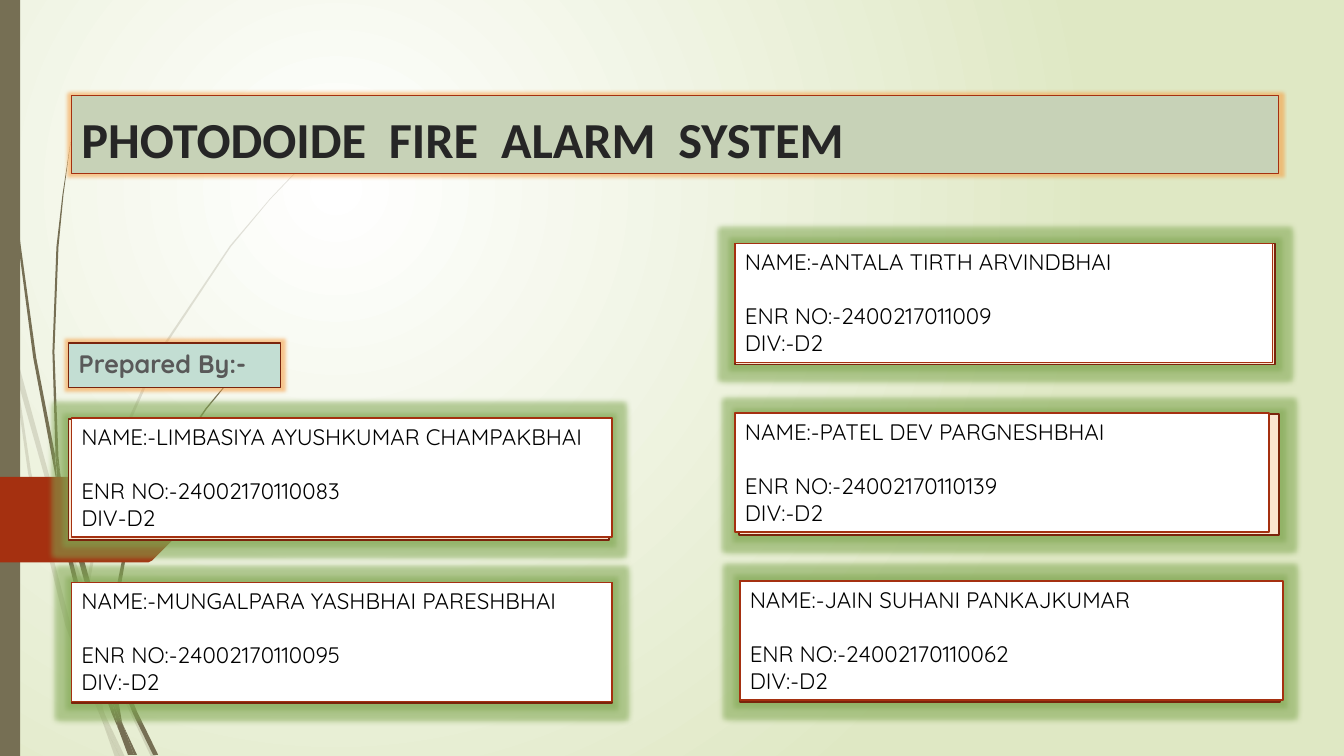
"""Build the title slide of the fire alarm project, with its team cards."""
from lxml import etree
from pptx import Presentation
from pptx.dml.color import RGBColor
from pptx.enum.shapes import MSO_SHAPE
from pptx.enum.text import MSO_ANCHOR, MSO_AUTO_SIZE, PP_ALIGN
from pptx.oxml.ns import qn
from pptx.util import Pt

RECTANGLE = MSO_SHAPE.RECTANGLE
TOP, BOTTOM = MSO_ANCHOR.TOP, MSO_ANCHOR.BOTTOM
LEFT = PP_ALIGN.LEFT
NO_AUTOFIT = MSO_AUTO_SIZE.NONE

WHITE = RGBColor(0xFF, 0xFF, 0xFF)
BLACK = RGBColor(0x00, 0x00, 0x00)
PALE_GREEN = RGBColor(0xDF, 0xE8, 0xC4)
OLIVE = RGBColor(0x76, 0x6F, 0x54)
RUST = RGBColor(0xA5, 0x30, 0x10)
DARK_RUST = RGBColor(0x7A, 0x24, 0x0C)
PEACH = RGBColor(0xFA, 0xE5, 0xCF)
SAGE = RGBColor(0xC7, 0xD2, 0xB7)
MINT = RGBColor(0xC3, 0xDE, 0xD3)
INK = RGBColor(0x26, 0x26, 0x26)
GREY = RGBColor(0x59, 0x59, 0x59)
ORANGE_GLOW = RGBColor(0xF7, 0x9B, 0x3C)
GREEN_GLOW = RGBColor(0x7F, 0xA6, 0x50)

GRID = Pt(0.72)
PALE_WISPS = [
    [(11, 350), (9, 322), (0, 282), (0, 299), (10, 344)],
    [(58, 522), (84, 599), (85, 586), (62, 520), (14, 345), (17, 376)],
    [(92, 607), (88, 596), (88, 610), (123, 694), (150, 751), (155, 751), (127, 692)],
    [(119, 751), (124, 751), (105, 711)],
    [(93, 683), (70, 619), (31, 469), (17, 376), (11, 350), (28, 470), (65, 621),
     (92, 693), (101, 714), (99, 707)],
    [(84, 599), (87, 646), (93, 683), (96, 692), (105, 711), (103, 706), (91, 646),
     (88, 610), (88, 608)],
    [(88, 584), (110, 462), (160, 349), (229, 245), (268, 198), (290, 175), (312, 154),
     (312, 153), (289, 175), (268, 197), (228, 244), (158, 348), (107, 461), (85, 584),
     (85, 586), (88, 596)],
    [(101, 714), (114, 751), (119, 751)],
    [(96, 692), (93, 683), (99, 707), (101, 714), (119, 751), (105, 711)],
]
DARK_WISPS = [
    [(7, 110), (17, 233), (33, 355), (56, 477), (57, 481), (55, 457), (55, 453),
     (36, 355), (19, 232), (8, 109), (5, 48), (4, 0), (3, 0), (4, 48)],
    [(88, 592), (106, 645), (106, 633), (106, 631), (93, 590), (60, 472), (64, 505)],
    [(113, 649), (110, 641), (111, 656), (132, 708), (152, 749), (157, 749), (136, 706)],
    [(110, 691), (98, 657), (72, 556), (64, 505), (57, 477), (68, 557), (93, 659),
     (111, 708), (117, 722), (116, 717)],
    [(60, 472), (58, 453), (54, 349), (58, 245), (63, 193), (70, 141), (62, 193),
     (56, 245), (52, 349), (55, 449)],
    [(133, 749), (136, 749), (122, 719)],
    [(57, 477), (64, 505), (60, 472), (55, 449), (55, 453)],
    [(111, 633), (125, 552), (158, 476), (205, 406), (231, 374), (245, 359), (261, 344),
     (260, 344), (245, 358), (231, 373), (204, 405), (156, 474), (122, 551), (106, 631),
     (110, 641)],
    [(117, 722), (127, 749), (131, 749)],
    [(106, 645), (110, 691), (116, 706), (122, 719), (121, 716), (111, 656), (109, 651)],
    [(116, 706), (110, 691), (116, 717), (117, 722), (130, 749), (133, 749), (122, 719)],
]
TAG = [(0, 473), (147, 473), (151, 474), (190, 513), (190, 517), (151, 556), (147, 558), (0, 558)]

BACK_WIDTH, BACK_HEIGHT, CARD_HEIGHT = 386, 86.4, 85
MEMBERS = [
    ("LIMBASIYA AYUSHKUMAR CHAMPAKBHAI", "24002170110083", "DIV-D2", (49, 299.5), (51, 298.8, 386)),
    ("MUNGALPARA YASHBHAI PARESHBHAI", "24002170110095", "DIV:-D2", (51, 416), (51, 416, 386)),
    ("ANTALA TIRTH ARVINDBHAI", "2400217011009", "DIV:-D2", (525, 174), (525, 174, 384)),
    ("PATEL DEV PARGNESHBHAI", "24002170110139", "DIV:-D2", (527.8, 296), (525, 295, 381.5)),
    ("JAIN SUHANI PANKAJKUMAR", "24002170110062", "DIV:-D2", (528.5, 415), (528.5, 415, 388)),
]


def draw_outline(points, colour, opacity=100):
    builder = slide.shapes.build_freeform(*points[0], scale=GRID)
    builder.add_line_segments(points[1:], close=True)
    outline = builder.convert_to_shape()
    outline.fill.solid()
    outline.fill.fore_color.rgb = colour
    outline.line.fill.background()
    outline.shadow.inherit = False
    if opacity < 100:
        tint = outline.element.spPr.find(qn("a:solidFill"))[0]
        etree.SubElement(tint, qn("a:alpha"), val=str(opacity * 1000))


def style_box(box, fill, border, weight, glow=None, radius=0):
    box.fill.solid()
    box.fill.fore_color.rgb = fill
    box.line.color.rgb = border
    box.line.width = Pt(weight)
    box.shadow.inherit = False
    if glow is not None:
        effects = box.element.spPr.find(qn("a:effectLst"))
        halo = etree.SubElement(effects, qn("a:glow"), rad=str(Pt(radius)))
        halo_colour = etree.SubElement(halo, qn("a:srgbClr"), val=str(glow))
        etree.SubElement(halo_colour, qn("a:alpha"), val="55000")


prs = Presentation()
prs.slide_width, prs.slide_height = Pt(960), Pt(540)
slide = prs.slides.add_slide(prs.slide_layouts[0])

backdrop = slide.background.fill
backdrop.gradient()
for stop, colour in zip(backdrop.gradient_stops, (WHITE, PALE_GREEN)):
    stop.color.rgb = colour
gradient = next(slide.element.iter(qn("a:gradFill")))
gradient.remove(gradient.find(qn("a:lin")))
radial = etree.SubElement(gradient, qn("a:path"), path="circle")
etree.SubElement(radial, qn("a:fillToRect"), l="50000", t="50000", r="100000", b="100000")

for wisp in PALE_WISPS:
    draw_outline(wisp, OLIVE, 20)
for wisp in DARK_WISPS:
    draw_outline(wisp, OLIVE)
side_bar = slide.shapes.add_shape(RECTANGLE, 0, 0, Pt(14.4), Pt(540))
style_box(side_bar, OLIVE, OLIVE, 0)
side_bar.line.fill.background()
draw_outline(TAG, RUST)

title, prepared_by = slide.placeholders
for heading, text, frame, anchor, size, font, ink, fill, border in (
    (title, "PHOTODOIDE  FIRE  ALARM  SYSTEM", (51, 68.4, 862.5, 55.5), BOTTOM,
     36, "Calibri", INK, SAGE, RUST),
    (prepared_by, "Prepared By:-", (49, 245, 151.5, 31.7), TOP,
     18, "Quicksand", GREY, MINT, DARK_RUST),
):
    heading.left, heading.top, heading.width, heading.height = map(Pt, frame)
    style_box(heading, fill, border, 0.75, ORANGE_GLOW, 5)
    heading.text_frame.text = text
    heading.text_frame.auto_size = NO_AUTOFIT
    heading.text_frame.vertical_anchor = anchor
    line = heading.text_frame.paragraphs[0]
    line.alignment = LEFT
    line.space_before = Pt(0)
    line.font.name, line.font.size, line.font.bold = font, Pt(size), True
    line.font.color.rgb = ink
    heading.element.getparent().append(heading.element)

for name, enrolment, division, back_corner, (left, top, width) in MEMBERS:
    back = slide.shapes.add_shape(RECTANGLE, *map(Pt, (*back_corner, BACK_WIDTH, BACK_HEIGHT)))
    style_box(back, PEACH, DARK_RUST, 1.25, GREEN_GLOW, 8)
    card = slide.shapes.add_shape(RECTANGLE, *map(Pt, (left, top, width, CARD_HEIGHT)))
    style_box(card, WHITE, RUST, 1.25)
    details = card.text_frame
    details.word_wrap = True
    details.vertical_anchor = TOP
    details.text = f"NAME:-{name}\nENR NO:-{enrolment}\n{division}"
    for line in details.paragraphs:
        line.alignment = LEFT
        line.font.name, line.font.size = "Quicksand", Pt(16)
        line.font.color.rgb = BLACK
    details.paragraphs[1].space_before = Pt(19.4)

prs.save("out.pptx")
